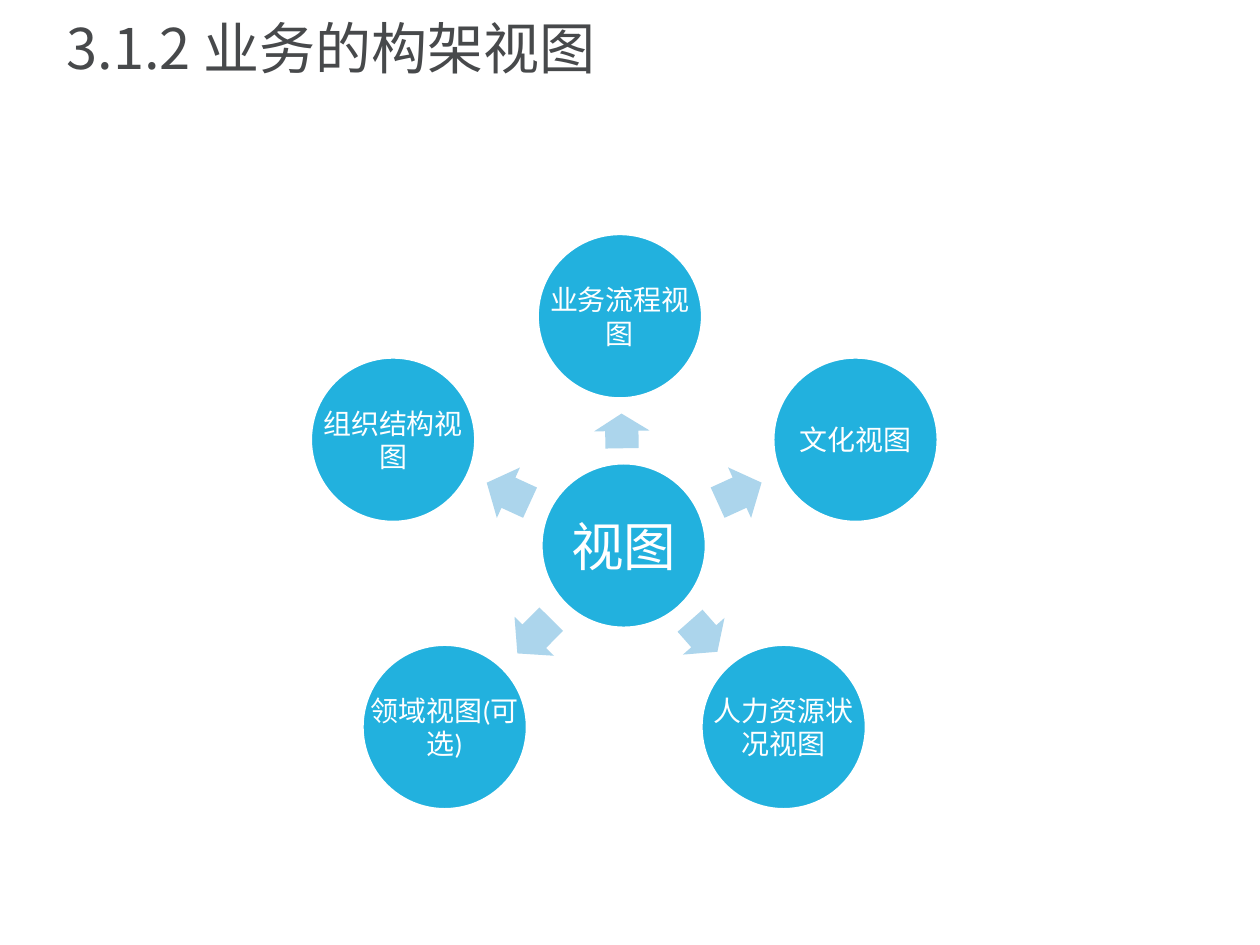
from dataclasses import dataclass
from math import atan2, degrees, hypot

from lxml.etree import SubElement
from pptx import Presentation
from pptx.dml.color import RGBColor
from pptx.enum.shapes import MSO_SHAPE
from pptx.enum.text import MSO_ANCHOR, PP_ALIGN
from pptx.oxml.ns import qn
from pptx.util import Inches, Pt


@dataclass(frozen=True)
class Theme:
    """Colours, fonts and type sizes of the slide."""
    ink: str = "47494B"
    blue: str = "22B1DE"
    pale: str = "ACD5EC"
    white: str = "FFFFFF"
    head: str = "Noto Sans CJK SC"
    body: str = "Calibri"
    title: int = 32
    hub: int = 30
    node: int = 16


THEME = Theme()
SIZE = 1.3
HUB = ("视图", 4.95, 4.33)
NODES = [
    ("业务流程视图", 4.92, 2.51),
    ("文化视图", 6.79, 3.49),
    ("人力资源状况视图", 6.22, 5.77),
    ("领域视图(可选)", 3.53, 5.77),
    ("组织结构视图", 3.12, 3.49),
]


def add_text(slide, text, box, *, size, font, color, align=PP_ALIGN.LEFT,
             inset=None, space=None):
    """Add a wrapped, vertically centred text box."""
    frame = slide.shapes.add_textbox(*map(Inches, box)).text_frame
    frame.word_wrap = True
    frame.vertical_anchor = MSO_ANCHOR.MIDDLE
    if inset is not None:
        frame.margin_left = frame.margin_right = Inches(inset)
        frame.margin_top = frame.margin_bottom = Inches(inset)
    para = frame.paragraphs[0]
    para.alignment = align
    para.line_spacing = space
    run = para.add_run()
    run.text = text
    run.font.size = Pt(size)
    run.font.color.rgb = RGBColor.from_string(color)
    run.font.name = font
    SubElement(run.font._element, qn("a:ea"), typeface=font)


def add_form(slide, kind, box, fill):
    """Add a filled preset shape without shadow or outline."""
    shape = slide.shapes.add_shape(kind, *map(Inches, box))
    shape.shadow.inherit = False
    shape.fill.solid()
    shape.fill.fore_color.rgb = RGBColor.from_string(fill)
    shape.line.fill.background()
    return shape


def add_title(slide, box):
    """Place the slide title in its box."""
    add_text(slide, "3.1.2 业务的构架视图", box, size=THEME.title,
             font=THEME.head, color=THEME.ink, space=0.9)


def add_circle(slide, text, box, size, inset):
    """Place a labelled circle with a white rim."""
    shape = add_form(slide, MSO_SHAPE.OVAL, box, THEME.blue)
    shape.line.color.rgb = RGBColor.from_string(THEME.white)
    shape.line.width = Pt(1)
    add_text(slide, text, box, size=size, font=THEME.body, color=THEME.white,
             align=PP_ALIGN.CENTER, inset=inset)


def add_arrow(slide, start, end):
    """Place a block arrow midway between two circle centres."""
    (ax, ay), (bx, by) = start, end
    wide = 0.53 * (hypot(bx - ax, by - ay) - SIZE)
    high = 0.44
    box = ((ax + bx - wide) / 2, (ay + by - high) / 2, wide, high)
    shape = add_form(slide, MSO_SHAPE.RIGHT_ARROW, box, THEME.pale)
    shape.adjustments[0] = 0.6
    shape.adjustments[1] = 0.5
    shape.rotation = degrees(atan2(by - ay, bx - ax)) % 360


def add_wheel(slide, box):
    """Place the hub, its nodes and the arrows, relative to the box."""
    left, top = box

    def place(x, y):
        """Give the box of a circle around a centre."""
        return left + x - SIZE / 2, top + y - SIZE / 2, SIZE, SIZE

    text, hx, hy = HUB
    add_circle(slide, text, place(hx, hy), THEME.hub, 0.04)
    for text, x, y in NODES:
        add_arrow(slide, (left + hx, top + hy), (left + x, top + y))
        add_circle(slide, text, place(x, y), THEME.node, 0.02)


def main():
    """Build and save the slide."""
    deck = Presentation()
    deck.slide_width = Inches(10)
    deck.slide_height = Inches(7.5)
    slide = deck.slides.add_slide(deck.slide_layouts[6])
    add_title(slide, (0.43, 0.06, 9.05, 0.7))
    add_wheel(slide, (0, 0))
    deck.save("out.pptx")


if __name__ == "__main__":
    main()
